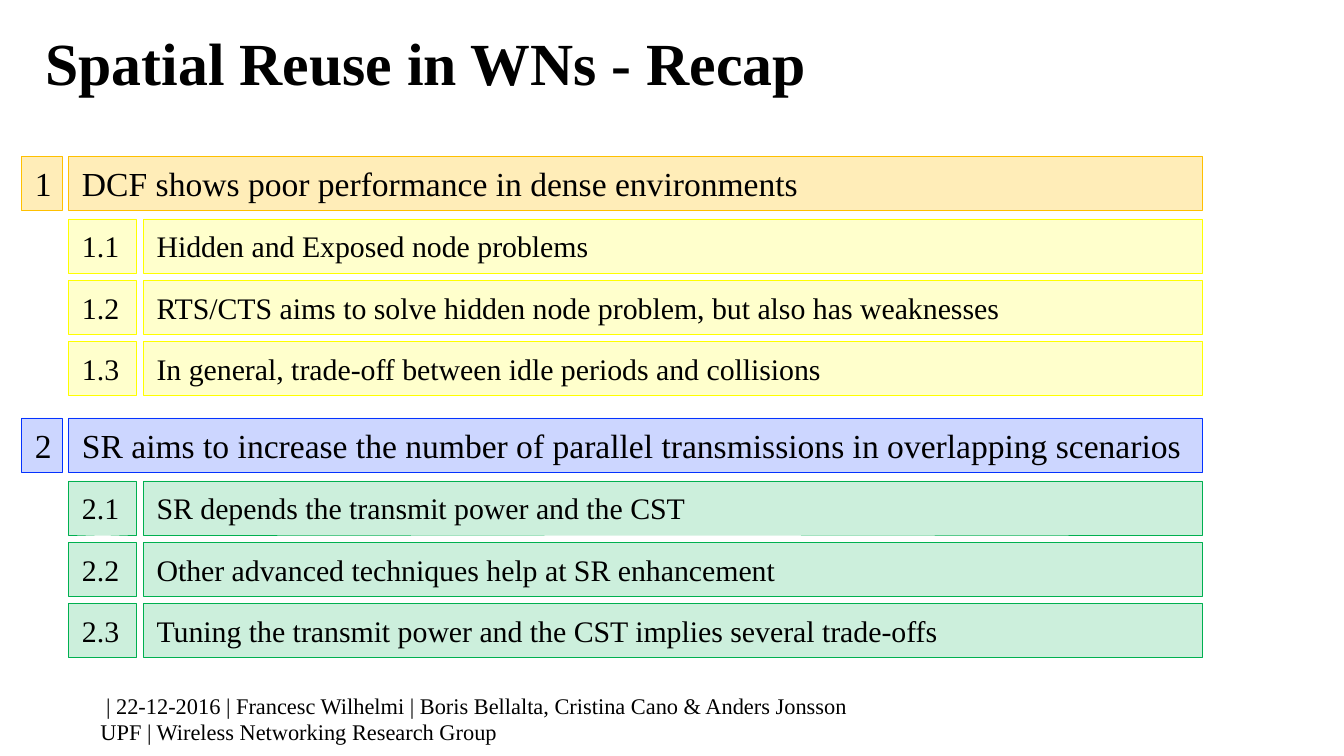
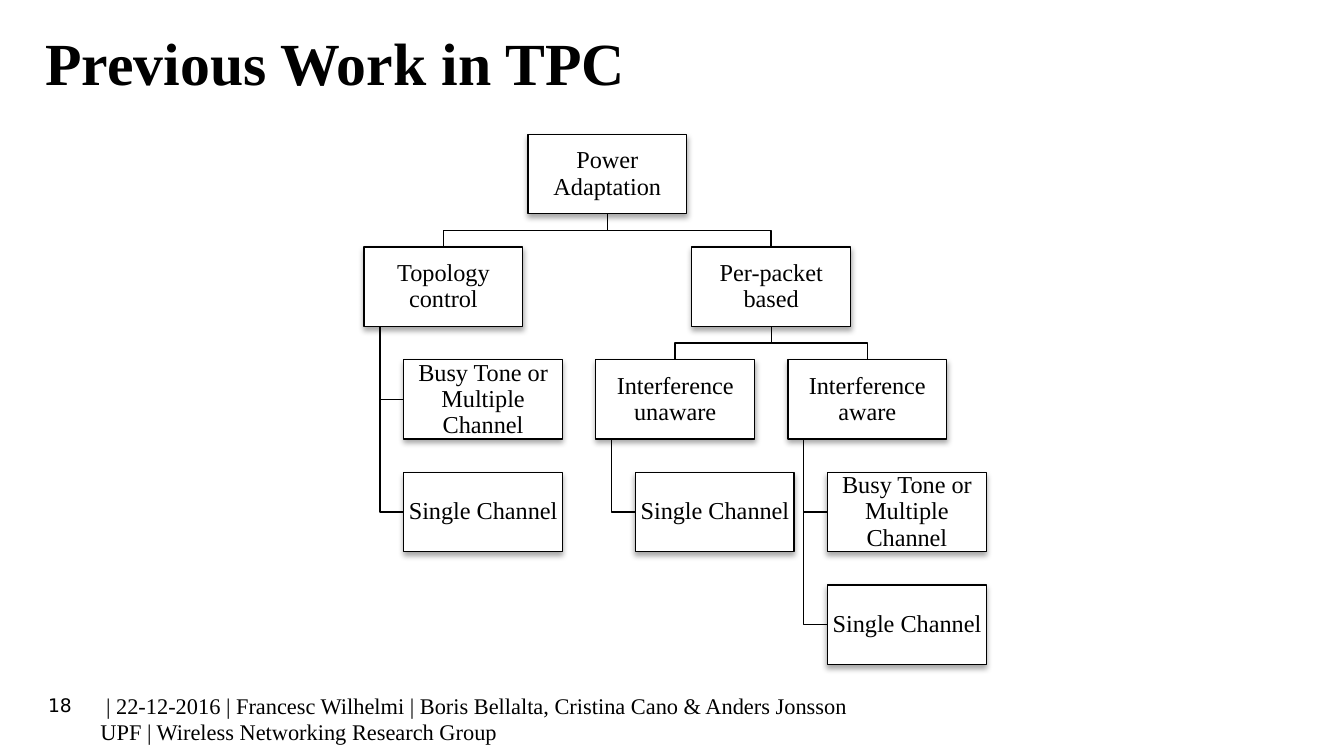
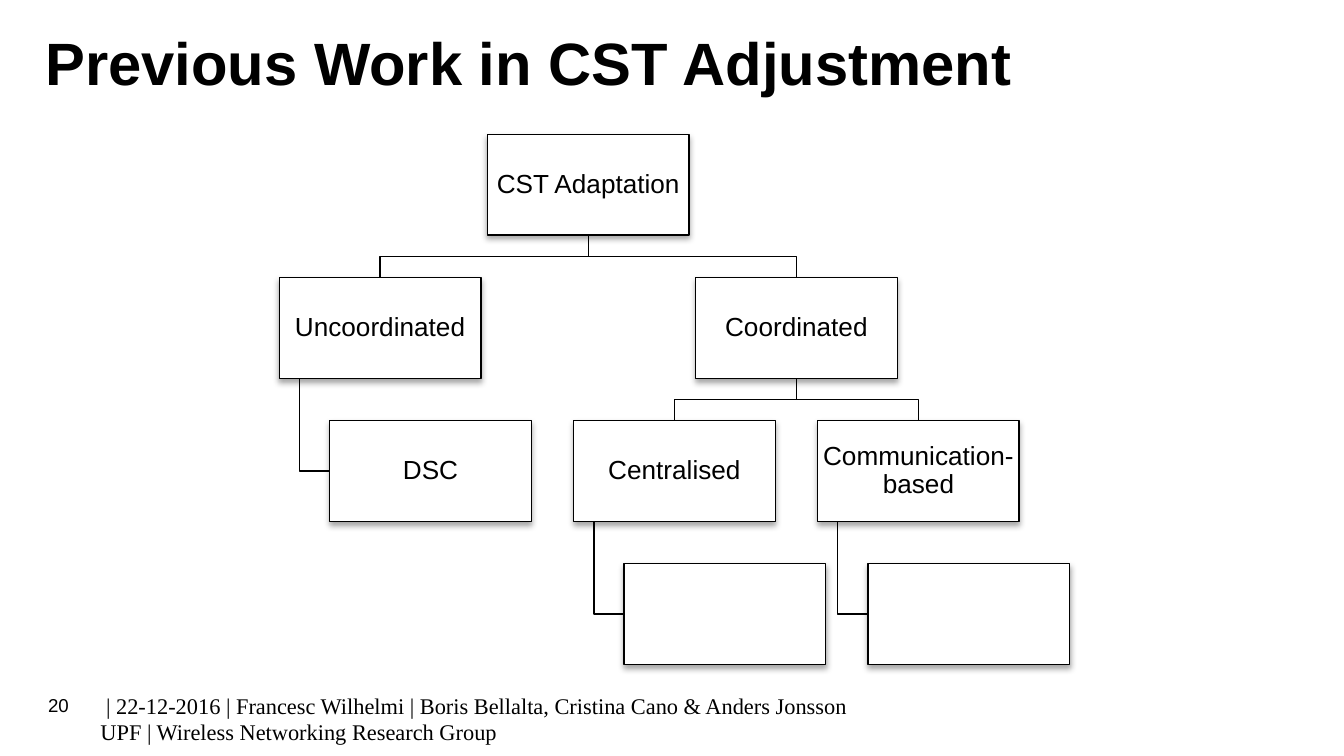
from collections import defaultdict
from dataclasses import dataclass, field

from lxml import etree
from pptx import Presentation
from pptx.dml.color import RGBColor
from pptx.enum.shapes import MSO_SHAPE
from pptx.enum.text import MSO_ANCHOR, PP_ALIGN
from pptx.oxml.ns import qn
from pptx.util import Cm, Pt

RECTANGLE = MSO_SHAPE.RECTANGLE
TOP, MIDDLE = MSO_ANCHOR.TOP, MSO_ANCHOR.MIDDLE
LEFT, CENTER = PP_ALIGN.LEFT, PP_ALIGN.CENTER


@dataclass(frozen=True)
class Theme:
    serif: str = "Times New Roman"
    sans: str = "Arial"
    number_sans: str = "DejaVu Sans"
    ink: str = "000000"
    paper: str = "FFFFFF"
    amber: str = "FFC000"
    yellow: str = "FFFF00"
    blue: str = "0432FF"
    green: str = "00B050"
    title_size: float = 32
    topic_size: float = 18
    point_size: float = 16
    footer_size: float = 12
    number_size: float = 10
    hairline: float = 0.25
    tree_line: float = 0.75


THEME = Theme()

FOOTER = [
    " | 22-12-2016 | Francesc Wilhelmi | Boris Bellalta, Cristina Cano & Anders Jonsson",
    "UPF | Wireless Networking Research Group",
]

# Recap rows, in centimetres
ROW_HEIGHT = 1.02
ROW_PITCH = 1.16
FIRST_POINT_OFFSET = 1.19
ROW_RIGHT = 22.72
TOPIC_COLUMNS = (0.41, 0.76, 1.3)  # number left, number width, text left
POINT_COLUMNS = (1.3, 1.28, 2.71)

# Tree proportions, in node widths
NODE_HEIGHT = 0.5
NODE_GAP = 0.21
HANGING_INDENT = 0.25
STEM_INDENT = 0.1
TREE_TOP = 2.54


@dataclass
class Topic:
    number: int
    text: str
    points: list
    top: float
    color: str
    opacity: int
    point_color: str


@dataclass
class Node:
    label: str
    children: list = field(default_factory=list)
    left: float = 0
    level: int = 0

    def children_hang(self):
        """Children without branches of their own are stacked below their parent."""
        return not any(child.children for child in self.children)


@dataclass
class Tree:
    root: Node
    left: float
    node_width: float
    font: str
    size: float

    def x(self, units):
        return Cm(self.left + units * self.node_width)

    def y(self, units):
        return Cm(TREE_TOP + units * self.node_width)


TOPICS = [
    Topic(1, "DCF shows poor performance in dense environments", [
        "Hidden and Exposed node problems",
        "RTS/CTS aims to solve hidden node problem, but also has weaknesses",
        "In general, trade-off between idle periods and collisions",
    ], 2.95, THEME.amber, 28, THEME.yellow),
    Topic(2, "SR aims to increase the number of parallel transmissions in overlapping scenarios", [
        "SR depends the transmit power and the CST",
        "Other advanced techniques help at SR enhancement",
        "Tuning the transmit power and the CST implies several trade-offs",
    ], 7.9, THEME.blue, 20, THEME.green),
]


def channel_nodes():
    return [Node("Busy Tone or Multiple Channel"), Node("Single Channel")]


POWER_TREE = Tree(
    Node("Power Adaptation", [
        Node("Topology control", channel_nodes()),
        Node("Per-packet based", [
            Node("Interference unaware", [Node("Single Channel")]),
            Node("Interference aware", channel_nodes()),
        ]),
    ]),
    left=6.88, node_width=3, font=THEME.serif, size=13)

CST_TREE = Tree(
    Node("CST Adaptation", [
        Node("Uncoordinated", [Node("DSC")]),
        Node("Coordinated", [
            Node("Centralised", [Node("")]),
            Node("Communication-based", [Node("")]),
        ]),
    ]),
    left=5.28, node_width=3.81, font=THEME.sans, size=14)


def rgb(color):
    return RGBColor.from_string(color)


def write_text(shape, lines, font, size, bold=False, anchor=TOP, align=LEFT,
               line_spacing=None, margin=None):
    frame = shape.text_frame
    frame.word_wrap = True
    frame.vertical_anchor = anchor
    if margin is not None:
        frame.margin_left = frame.margin_right = Cm(margin)
        frame.margin_top = frame.margin_bottom = Cm(margin)
    for index, line in enumerate(lines):
        paragraph = frame.add_paragraph() if index else frame.paragraphs[0]
        paragraph.alignment = align
        paragraph.line_spacing = line_spacing
        run = paragraph.add_run()
        run.text = line
        run.font.name = font
        run.font.size = Pt(size)
        run.font.bold = bold
        run.font.color.rgb = rgb(THEME.ink)


def add_text(slide, left, top, width, height, lines, font, size, **style):
    box = slide.shapes.add_textbox(Cm(left), Cm(top), Cm(width), Cm(height))
    write_text(box, lines, font, size, **style)


def add_rectangle(slide, left, top, width, height, fill, line, line_width):
    shape = slide.shapes.add_shape(RECTANGLE, left, top, width, height)
    shape.shadow.inherit = False
    shape.fill.solid()
    shape.fill.fore_color.rgb = rgb(fill)
    shape.line.color.rgb = rgb(line)
    shape.line.width = Pt(line_width)
    return shape


def set_opacity(shape, percent):
    color = shape.fill._xPr.find(qn("a:solidFill")).find(qn("a:srgbClr"))
    etree.SubElement(color, qn("a:alpha"), val=str(percent * 1000))


def add_soft_shadow(shape):
    effects = shape._element.spPr.find(qn("a:effectLst"))
    shadow = etree.SubElement(effects, qn("a:outerShdw"), blurRad="40000", dist="23000",
                              dir="5400000", rotWithShape="0")
    color = etree.SubElement(shadow, qn("a:srgbClr"), val=THEME.ink)
    etree.SubElement(color, qn("a:alpha"), val="35000")


def add_slide(presentation, title, title_font, number=None, number_font=None):
    slide = presentation.slides.add_slide(presentation.slide_layouts[6])
    add_text(slide, 1.65, 12.95, 22.25, 1.27, FOOTER, THEME.serif, THEME.footer_size)
    if number:
        add_text(slide, 0.66, 13.13, 1.22, 0.41, [number], number_font,
                 THEME.number_size, anchor=MIDDLE)
    add_text(slide, 0.61, 0.36, 24.3, 1.57, [title], title_font,
             THEME.title_size, bold=True)
    return slide


def add_numbered_row(slide, columns, top, number, text, color, opacity, size):
    number_left, number_width, text_left = columns
    cells = [(number_left, number_width, number), (text_left, ROW_RIGHT - text_left, text)]
    for left, width, content in cells:
        cell = add_rectangle(slide, Cm(left), Cm(top), Cm(width), Cm(ROW_HEIGHT),
                             color, color, THEME.hairline)
        set_opacity(cell, opacity)
        write_text(cell, [content], THEME.serif, size, anchor=MIDDLE)


def add_topic(slide, topic):
    add_numbered_row(slide, TOPIC_COLUMNS, topic.top, str(topic.number), topic.text,
                     topic.color, topic.opacity, THEME.topic_size)
    for index, point in enumerate(topic.points):
        top = topic.top + FIRST_POINT_OFFSET + index * ROW_PITCH
        add_numbered_row(slide, POINT_COLUMNS, top, f"{topic.number}.{index + 1}", point,
                         topic.point_color, 20, THEME.point_size)


def arrange(node, level, next_free):
    """Place a branch as far left as the free space on each of its levels allows."""
    node.level = level
    if node.children_hang():
        levels = range(level + 1, level + 1 + len(node.children))
        node.left = max([next_free[level]]
                        + [next_free[below] - HANGING_INDENT for below in levels])
        for child, below in zip(node.children, levels):
            child.left, child.level = node.left + HANGING_INDENT, below
            next_free[below] = child.left + 1 + NODE_GAP
    else:
        for child in node.children:
            arrange(child, level + 1, next_free)
        node.left = (node.children[0].left + node.children[-1].left) / 2
    next_free[level] = node.left + 1 + NODE_GAP


def node_top(node):
    return node.level * (NODE_HEIGHT + NODE_GAP)


def branch_points(parent, child):
    bottom = node_top(parent) + NODE_HEIGHT
    if parent.children_hang():
        stem = parent.left + STEM_INDENT
        middle = node_top(child) + NODE_HEIGHT / 2
        return [(stem, bottom), (stem, middle), (child.left, middle)]
    start, end = parent.left + 0.5, child.left + 0.5
    bend = bottom + NODE_GAP / 2
    return [(start, bottom), (start, bend), (end, bend), (end, node_top(child))]


def add_branches(slide, tree, parent):
    for child in parent.children:
        points = [(tree.x(x), tree.y(y)) for x, y in branch_points(parent, child)]
        builder = slide.shapes.build_freeform(*points[0])
        builder.add_line_segments(points[1:], close=False)
        branch = builder.convert_to_shape()
        branch.shadow.inherit = False
        branch.fill.background()
        branch.line.color.rgb = rgb(THEME.ink)
        branch.line.width = Pt(THEME.tree_line)
        add_branches(slide, tree, child)


def add_nodes(slide, tree, node):
    box = add_rectangle(slide, tree.x(node.left), tree.y(node_top(node)),
                        Cm(tree.node_width), Cm(tree.node_width * NODE_HEIGHT),
                        THEME.paper, THEME.ink, THEME.tree_line)
    add_soft_shadow(box)
    if node.label:
        write_text(box, [node.label], tree.font, tree.size, anchor=MIDDLE,
                   align=CENTER, line_spacing=0.9, margin=0.02)
    for child in node.children:
        add_nodes(slide, tree, child)


def add_tree(slide, tree):
    arrange(tree.root, 0, defaultdict(float))
    add_branches(slide, tree, tree.root)
    add_nodes(slide, tree, tree.root)


def main():
    presentation = Presentation()
    presentation.slide_width = Cm(25.4)
    presentation.slide_height = Cm(14.29)

    recap = add_slide(presentation, "Spatial Reuse in WNs - Recap", THEME.serif)
    for topic in TOPICS:
        add_topic(recap, topic)

    power = add_slide(presentation, "Previous Work in TPC", THEME.serif,
                      "18", THEME.number_sans)
    add_tree(power, POWER_TREE)

    sensing = add_slide(presentation, "Previous Work in CST Adjustment", THEME.sans,
                        "20", THEME.sans)
    add_tree(sensing, CST_TREE)

    presentation.save("out.pptx")


if __name__ == "__main__":
    main()
